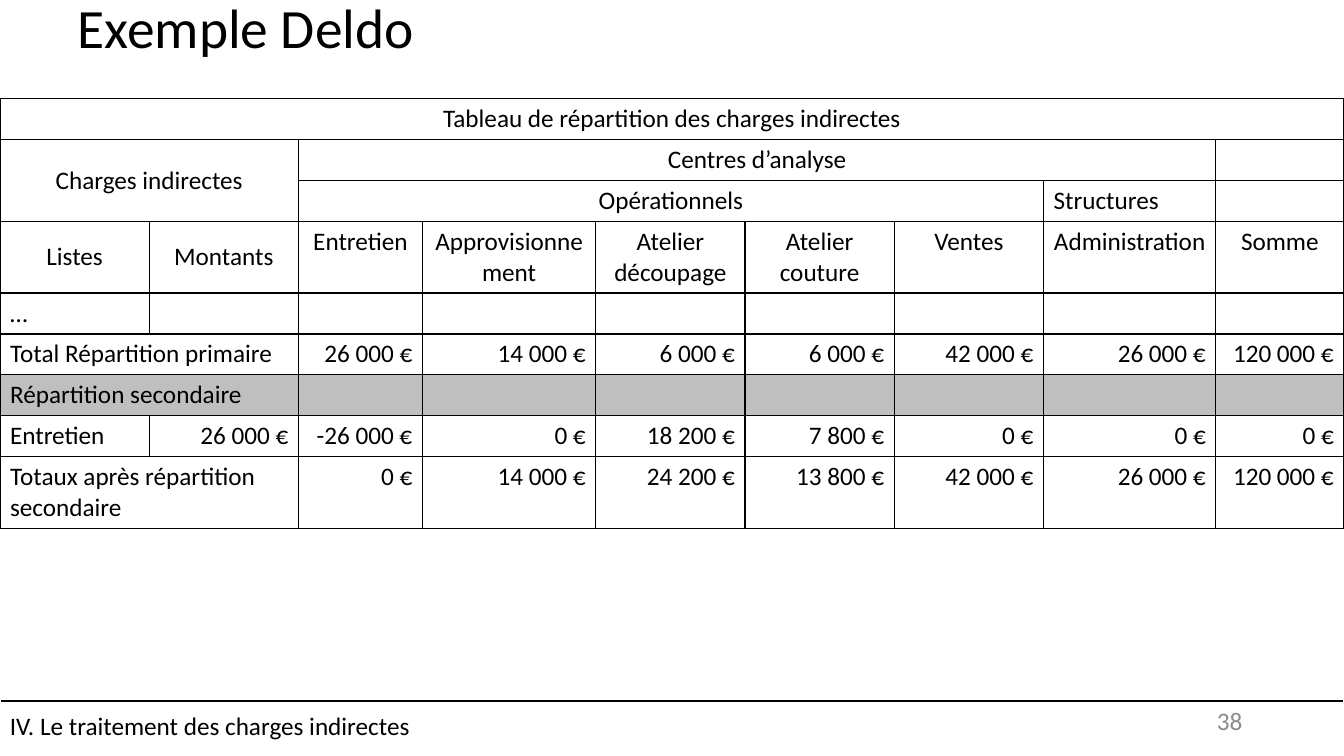
"""Build the slide showing the allocation table of indirect costs."""
from dataclasses import dataclass

import lxml.etree
import pptx
import pptx.dml.color
import pptx.enum.shapes
import pptx.enum.text
import pptx.oxml.ns
import pptx.util

Inches = pptx.util.Inches
Pt = pptx.util.Pt
Align = pptx.enum.text.PP_ALIGN
Anchor = pptx.enum.text.MSO_ANCHOR
qn = pptx.oxml.ns.qn


@dataclass(frozen=True)
class Theme:
    """Colours, font and type sizes of the slide."""
    font: str = "Calibri"
    ink: str = "000000"
    paper: str = "FFFFFF"
    band: str = "BFBFBF"
    muted: str = "8C8C8C"
    title_size: float = 39.6
    text_size: float = 18


THEME = Theme()
SLIDE_WIDTH, SLIDE_HEIGHT = 13.33, 7.5
FOOTER_RULE_TOP = 6.95

COLUMN_WIDTHS = [1.48, 1.48, 1.23, 1.72, 1.48, 1.48, 1.48, 1.71, 1.27]
SINGLE_LINE, DOUBLE_LINE = 0.4, 0.7
ROW_HEIGHTS = [SINGLE_LINE] * 3 + [DOUBLE_LINE] + [SINGLE_LINE] * 4 + [DOUBLE_LINE]
HEADER_ROWS, LABEL_COLUMNS = 4, 2
BAND_ROW = 6
ALLOCATION = [
    ["Tableau de répartition des charges indirectes"] + [""] * 8,
    ["Charges indirectes", "", "Centres d’analyse"] + [""] * 6,
    ["", "", "Opérationnels", "", "", "", "", "Structures", ""],
    ["Listes", "Montants", "Entretien", "Approvisionnement", "Atelier découpage",
     "Atelier couture", "Ventes", "Administration", "Somme"],
    ["…"] + [""] * 8,
    ["Total Répartition primaire", "", "26 000 €", "14 000 €", "6 000 €",
     "6 000 €", "42 000 €", "26 000 €", "120 000 €"],
    ["Répartition secondaire"] + [""] * 8,
    ["Entretien", "26 000 €", "-26 000 €", "0 €", "18 200 €",
     "7 800 €", "0 €", "0 €", "0 €"],
    ["Totaux après répartition secondaire", "", "0 €", "14 000 €", "24 200 €",
     "13 800 €", "42 000 €", "26 000 €", "120 000 €"],
]
MERGES = [
    ((0, 0), (0, 8)), ((1, 0), (2, 1)), ((1, 2), (1, 7)), ((2, 2), (2, 6)),
    ((5, 0), (5, 1)), ((6, 0), (6, 1)), ((8, 0), (8, 1)),
]


def rgb(code):
    """Turn a hexadecimal code into a colour."""
    return pptx.dml.color.RGBColor.from_string(code)


def write(frame, words, align=Align.LEFT, size=THEME.text_size, color=THEME.ink):
    """Put one formatted run into the first paragraph of a text frame."""
    paragraph = frame.paragraphs[0]
    paragraph.alignment = align
    run = paragraph.add_run()
    run.text = words
    run.font.name = THEME.font
    run.font.size = Pt(size)
    run.font.color.rgb = rgb(color)
    return paragraph


def place(shape, left, top, width, height):
    """Move and size a shape."""
    shape.left, shape.top = Inches(left), Inches(top)
    shape.width, shape.height = Inches(width), Inches(height)


def add_title(slide, words):
    """Fill the title placeholder."""
    heading = slide.shapes.title
    place(heading, 0.67, 0, 11.5, 0.61)
    frame = heading.text_frame
    frame.auto_size = pptx.enum.text.MSO_AUTO_SIZE.NONE
    frame.vertical_anchor = Anchor.MIDDLE
    write(frame, words, size=THEME.title_size).line_spacing = 0.9


def border_cell(cell):
    """Draw a thin line on the four sides of a cell."""
    properties = cell._tc.get_or_add_tcPr()
    for position, side in enumerate(("a:lnL", "a:lnR", "a:lnT", "a:lnB")):
        line = lxml.etree.Element(qn(side), w=str(Pt(1)))
        fill = lxml.etree.SubElement(line, qn("a:solidFill"))
        lxml.etree.SubElement(fill, qn("a:srgbClr"), val=THEME.ink)
        properties.insert(position, line)


def cell_alignment(row, words):
    """Centre headings, align amounts right and other labels left."""
    if words.endswith("€"):
        return Align.RIGHT
    if row < HEADER_ROWS and words != "Structures":
        return Align.CENTER
    return Align.LEFT


def format_cell(cell, row, column, words):
    """Fill, border and write one cell."""
    if row == BAND_ROW:
        cell.fill.solid()
        cell.fill.fore_color.rgb = rgb(THEME.band)
    else:
        cell.fill.background()
    border_cell(cell)
    if row < HEADER_ROWS and column < LABEL_COLUMNS:
        cell.vertical_anchor = Anchor.MIDDLE
    if words:
        write(cell.text_frame, words, cell_alignment(row, words))


def add_allocation_table(slide):
    """Add the table with its merged headings."""
    table = slide.shapes.add_table(
        len(ROW_HEIGHTS), len(COLUMN_WIDTHS), Inches(0), Inches(0.98),
        Inches(SLIDE_WIDTH), Inches(sum(ROW_HEIGHTS))).table
    table.first_row = table.horz_banding = False
    for column, width in zip(table.columns, COLUMN_WIDTHS):
        column.width = Inches(width)
    for row, height in zip(table.rows, ROW_HEIGHTS):
        row.height = Inches(height)
    for first, last in MERGES:
        table.cell(*first).merge(table.cell(*last))
    for row, entries in enumerate(ALLOCATION):
        for column, words in enumerate(entries):
            format_cell(table.cell(row, column), row, column, words)


def add_footer_rule(slide):
    """Add the line above the footer."""
    rule = slide.shapes.add_connector(
        pptx.enum.shapes.MSO_CONNECTOR.STRAIGHT, Inches(0), Inches(FOOTER_RULE_TOP),
        Inches(SLIDE_WIDTH), Inches(FOOTER_RULE_TOP))
    rule.line.color.rgb = rgb(THEME.ink)
    rule.line.width = Pt(1.5)
    lxml.etree.SubElement(rule._element.spPr, qn("a:effectLst"))


def add_chapter(slide, words):
    """Add the footer box with the chapter name."""
    chapter = slide.shapes.add_shape(
        pptx.enum.shapes.MSO_SHAPE.RECTANGLE, Inches(0), Inches(6.9),
        Inches(SLIDE_WIDTH), Inches(0.6))
    chapter.shadow.inherit = False
    chapter.fill.background()
    chapter.line.color.rgb = rgb(THEME.paper)
    chapter.line.width = Pt(1)
    chapter.text_frame.vertical_anchor = Anchor.MIDDLE
    write(chapter.text_frame, words)


def add_page_number(slide, number):
    """Add the page number at the lower right."""
    page = slide.shapes.add_textbox(
        Inches(9.42), Inches(FOOTER_RULE_TOP), Inches(3), Inches(0.4))
    page.text_frame.word_wrap = True
    page.text_frame.vertical_anchor = Anchor.MIDDLE
    write(page.text_frame, number, Align.RIGHT, color=THEME.muted)


def main():
    """Build and save the slide."""
    deck = pptx.Presentation()
    deck.slide_width, deck.slide_height = Inches(SLIDE_WIDTH), Inches(SLIDE_HEIGHT)
    slide = deck.slides.add_slide(deck.slide_layouts.get_by_name("Title Only"))
    add_footer_rule(slide)
    add_title(slide, "Exemple Deldo")
    add_allocation_table(slide)
    add_chapter(slide, "IV. Le traitement des charges indirectes")
    add_page_number(slide, "38")
    deck.save("out.pptx")


if __name__ == "__main__":
    main()
